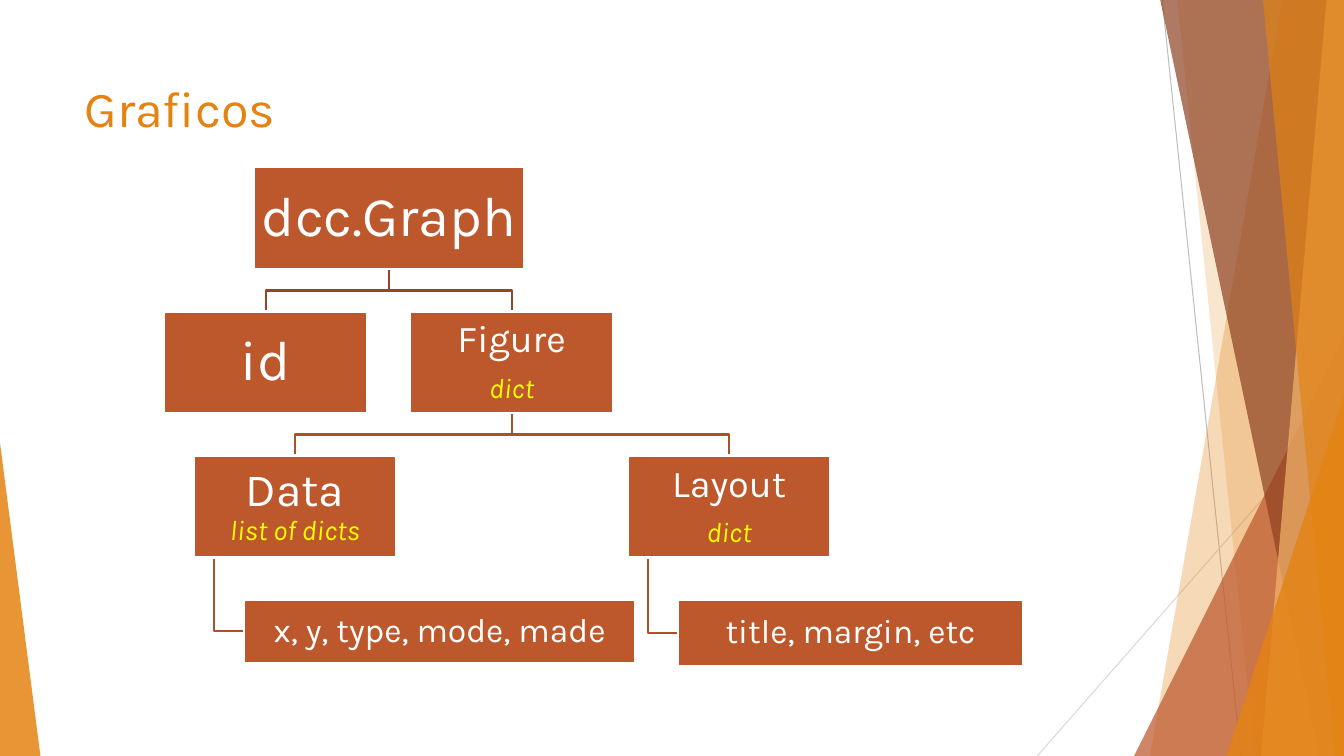
import pptx
import pptx.util
import pptx.dml.color
import pptx.enum.shapes
import pptx.enum.text
import pptx.oxml.ns
import lxml.etree

Cm, Pt = pptx.util.Cm, pptx.util.Pt
RGB = pptx.dml.color.RGBColor.from_string
SHAPES = pptx.enum.shapes.MSO_SHAPE
MIDDLE = pptx.enum.text.MSO_ANCHOR.MIDDLE
CENTER = pptx.enum.text.PP_ALIGN.CENTER
qn = pptx.oxml.ns.qn

THEME = {
    "font": "Karla", "orange": "E48312", "peach": "F3B56C", "rust": "BD582C",
    "brown": "8E4221", "top_link": "974623", "link": "AC5028",
    "white": "FFFFFF", "yellow": "FFFF00", "grey": "BFBFBF", "pale": "D9D9D9",
    "title": Pt(36), "root": Pt(40), "data": Pt(33), "dict": Pt(27),
    "leaf": Pt(24), "kind": Pt(20), "stroke": Pt(1.5), "hairline": Pt(0.75),
}
WIDTH, HEIGHT = 33.87, 19.05

deck = pptx.Presentation()
deck.slide_width, deck.slide_height = Cm(WIDTH), Cm(HEIGHT)
slide = deck.slides.add_slide(deck.slide_layouts[5])


def draw_outline(points, close):
    (x, y), *others = [(Cm(px), Cm(py)) for px, py in points]
    builder = slide.shapes.build_freeform(x, y)
    builder.add_line_segments(others, close=close)
    outline = builder.convert_to_shape()
    outline.shadow.inherit = False
    return outline


def style_font(font, size, colour, italic=False):
    font.name, font.size, font.italic = THEME["font"], THEME[size], italic
    font.color.rgb = RGB(THEME[colour])


for colour, x1, y1, x2, y2 in [
    ("grey", 29.29, 0, 31.27, HEIGHT),
    ("pale", WIDTH, 10.24, 26.14, HEIGHT),
]:
    ray = slide.shapes.add_connector(
        pptx.enum.shapes.MSO_CONNECTOR.STRAIGHT, Cm(x1), Cm(y1), Cm(x2), Cm(y2))
    ray.line.color.rgb = RGB(THEME[colour])
    ray.line.width = THEME["hairline"]
    lxml.etree.SubElement(ray._element.spPr, qn("a:effectLst"))

for kind, colour, opacity, place in [
    ("band", "orange", 30, (32.31, 28.98)),
    ("band", "orange", 20, (29.67, 31.62)),
    ("wedge", "rust", 72, (28.58, 8.48, 5.29, 1)),
    ("band", "brown", 70, (29.24, 33.25)),
    ("band", "peach", 70, (33.43, 31.78)),
    ("band", "orange", 65, (31.83, 33.63)),
    ("wedge", "orange", 80, (30.91, 9.98, 2.96, 1)),
    ("wedge", "orange", 85, (0, 11.15, 1.02, 0)),
]:
    if kind == "band":
        top_x, bottom_x = place
        facet = draw_outline(
            [(top_x, 0), (WIDTH, 0), (WIDTH, HEIGHT), (bottom_x, HEIGHT)], True)
    else:
        left, top, width, apex = place
        facet = slide.shapes.add_shape(
            SHAPES.ISOSCELES_TRIANGLE, Cm(left), Cm(top), Cm(width), Cm(HEIGHT - top))
        facet.adjustments[0] = apex
        facet.shadow.inherit = False
    facet.fill.solid()
    facet.fill.fore_color.rgb = RGB(THEME[colour])
    facet.line.fill.background()
    tint = facet._element.spPr.find(".//" + qn("a:srgbClr"))
    lxml.etree.SubElement(tint, qn("a:alpha")).set("val", str(opacity * 1000))

title = slide.shapes.title
title.left, title.top, title.width, title.height = Cm(1.88), Cm(1.7), Cm(23.88), Cm(2.01)
title.text_frame.text = "Graficos"
title.text_frame.vertical_anchor = MIDDLE
title.text_frame.paragraphs[0].alignment = pptx.enum.text.PP_ALIGN.LEFT
style_font(title.text_frame.paragraphs[0].font, "title", "orange")

ROW_TOPS = [4.22 + 3.63 * row for row in range(4)]
BOX_HEIGHT = 2.57
nodes = {
    "graph": (6.4, 0, 6.81, BOX_HEIGHT, "dcc.Graph", "root", None),
    "id": (4.14, 1, 5.11, BOX_HEIGHT, "id", "root", None),
    "figure": (10.34, 1, 5.11, BOX_HEIGHT, "Figure", "dict", "dict"),
    "data": (4.88, 2, 5.11, BOX_HEIGHT, "Data", "data", "list of dicts"),
    "data keys": (6.15, 3, 9.86, 1.6, "x, y, type, mode, made", "leaf", None),
    "layout": (15.82, 2, 5.11, BOX_HEIGHT, "Layout", "dict", "dict"),
    "layout keys": (17.09, 3, 8.69, 1.68, "title, margin, etc", "leaf", None),
}

for parent, child in [
    ("layout", "layout keys"), ("figure", "layout"), ("data", "data keys"),
    ("figure", "data"), ("graph", "figure"), ("graph", "id"),
]:
    parent_left, parent_row, parent_width = nodes[parent][:3]
    child_left, child_row, child_width, child_height = nodes[child][:4]
    start_y = ROW_TOPS[parent_row] + BOX_HEIGHT
    child_top = ROW_TOPS[child_row]
    if child_row == 3:
        stem_x, leaf_y = parent_left + 0.51, child_top + child_height / 2
        route = [(stem_x, start_y), (stem_x, leaf_y), (child_left, leaf_y)]
    else:
        start_x = parent_left + parent_width / 2
        end_x = child_left + child_width / 2
        bend_y = (start_y + child_top) / 2
        route = [(start_x, start_y), (start_x, bend_y), (end_x, bend_y), (end_x, child_top)]
    branch = draw_outline(route, False)
    branch.fill.background()
    branch.line.color.rgb = RGB(THEME["top_link" if parent == "graph" else "link"])
    branch.line.width = THEME["stroke"]

for left, row, width, height, label, size, kind in nodes.values():
    box = slide.shapes.add_shape(
        SHAPES.RECTANGLE, Cm(left), Cm(ROW_TOPS[row]), Cm(width), Cm(height))
    box.shadow.inherit = False
    box.fill.solid()
    box.fill.fore_color.rgb = RGB(THEME["rust"])
    box.line.color.rgb = RGB(THEME["white"])
    box.line.width = THEME["stroke"]
    frame = box.text_frame
    frame.word_wrap = True
    frame.vertical_anchor = MIDDLE
    frame.margin_left = frame.margin_right = frame.margin_top = frame.margin_bottom = Cm(0.06)
    heading = frame.paragraphs[0]
    name = heading.add_run()
    name.text = label
    if size == "data":
        heading.add_line_break()
        note = heading.add_run()
        note.text = kind
        style_font(name.font, size, "white")
        style_font(note.font, "kind", "yellow", True)
    else:
        style_font(heading.font, size, "white")
        if kind:
            heading.space_after = Pt(9.5)
            note = frame.add_paragraph()
            note.text = kind
            style_font(note.font, "kind", "yellow", True)
    for paragraph in frame.paragraphs:
        paragraph.alignment = CENTER
        paragraph.line_spacing = 0.9

deck.save("out.pptx")
